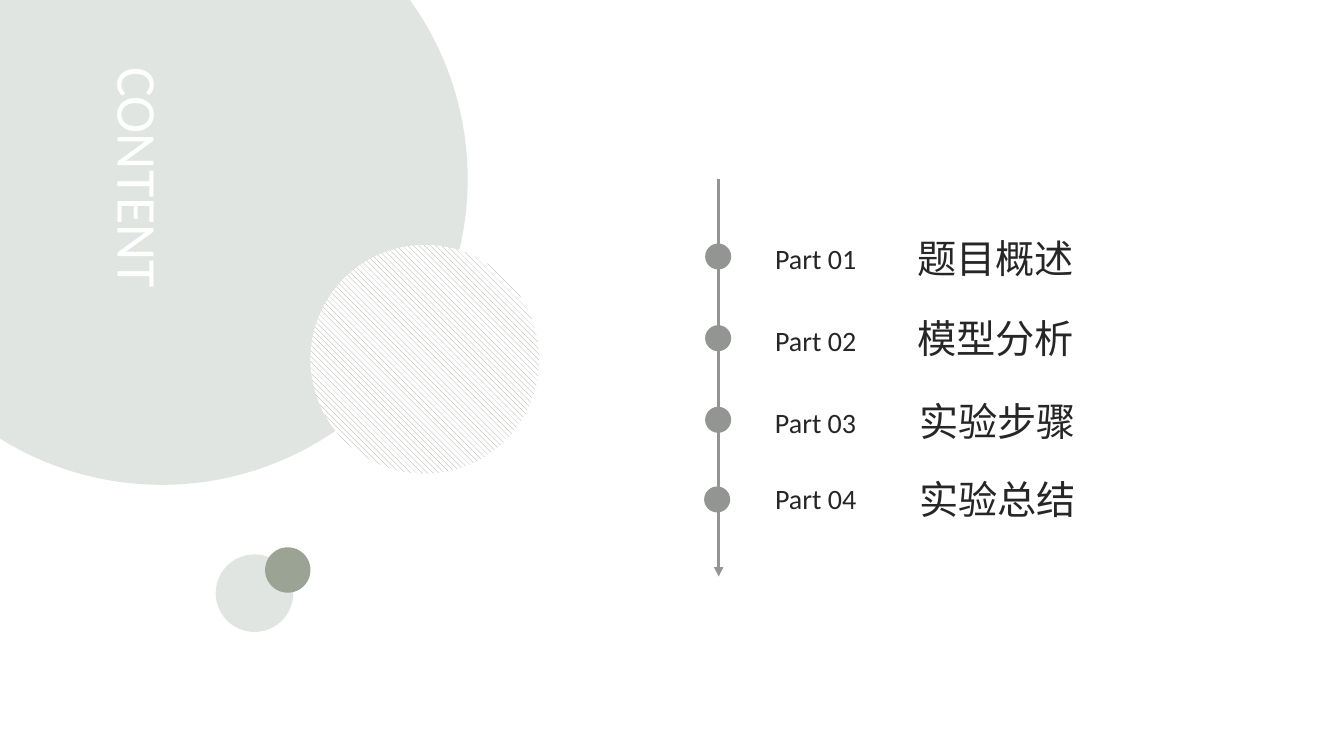
"""Build a contents slide with a four-part timeline beside overlapping circles."""
from typing import NamedTuple

import lxml.etree
import pptx
import pptx.dml.color
import pptx.enum.dml
import pptx.enum.shapes
import pptx.enum.text
import pptx.oxml.ns
import pptx.slide
import pptx.text.text
import pptx.util

EMU_PER_PX = 9144
SLIDE_WIDTH = pptx.util.Emu(12192000)
FONT = "Calibri"
MIST = pptx.dml.color.RGBColor(0xE1, 0xE5, 0xE2)
SAGE = pptx.dml.color.RGBColor(0x9A, 0xA3, 0x94)
GREY = pptx.dml.color.RGBColor(0x92, 0x95, 0x91)
INK = pptx.dml.color.RGBColor(0x26, 0x26, 0x26)
WHITE = pptx.dml.color.RGBColor(0xFF, 0xFF, 0xFF)
ALIGN = pptx.enum.text.PP_ALIGN


class Circle(NamedTuple):
    left: int
    top: int
    size: int
    color: pptx.dml.color.RGBColor
    hatched: bool = False
    outline: float = 0


class Part(NamedTuple):
    label: str
    label_top: int
    label_width: int
    topic: str
    topic_left: int
    topic_top: int
    dot_left: int
    dot_top: int


BUBBLES = [
    Circle(214, 550, 77, MIST),
    Circle(263, 543, 45, SAGE),
    Circle(-143, -126, 607, MIST),
    Circle(308, 243, 227, SAGE, hatched=True),
]
PARTS = [
    Part("Part 01", 235, 128, "题目概述", 900, 228, 701, 243),
    Part("Part 02", 316, 152, "模型分析", 900, 307, 701, 324),
    Part("Part 03", 397, 143, "实验步骤", 902, 389, 701, 405),
    Part("Part 04", 473, 152, "实验总结", 902, 467, 700, 484),
]


def px(length: int) -> pptx.util.Emu:
    """Turn px into EMU."""
    return pptx.util.Emu(length * EMU_PER_PX)


def draw_circle(slide: pptx.slide.Slide, circle: Circle) -> None:
    """Draw one plain or hatched circle."""
    disc = slide.shapes.add_shape(
        pptx.enum.shapes.MSO_SHAPE.OVAL,
        px(circle.left), px(circle.top), px(circle.size), px(circle.size))
    disc.shadow.inherit = False
    if circle.hatched:
        disc.fill.patterned()
        disc.fill.pattern = pptx.enum.dml.MSO_PATTERN.WIDE_DOWNWARD_DIAGONAL
        disc.fill.fore_color.rgb = circle.color
        disc.fill.back_color.rgb = WHITE
    else:
        disc.fill.solid()
        disc.fill.fore_color.rgb = circle.color
    if circle.outline:
        disc.line.color.rgb = circle.color
        disc.line.width = pptx.util.Pt(circle.outline)
    else:
        disc.line.fill.background()


def style(paragraph: pptx.text.text._Paragraph, size: int,
          color: pptx.dml.color.RGBColor, align: ALIGN) -> None:
    """Set the font and alignment of a paragraph."""
    paragraph.alignment = align
    paragraph.font.name = FONT
    paragraph.font.size = pptx.util.Pt(size)
    paragraph.font.color.rgb = color


def draw_text(slide: pptx.slide.Slide, text: str, left: int, top: int,
              width: int, height: int, size: int, align: ALIGN) -> None:
    """Draw one line of text in a box that grows with it."""
    frame = slide.shapes.add_textbox(px(left), px(top), px(width), px(height)).text_frame
    frame.word_wrap = True
    frame.auto_size = pptx.enum.text.MSO_AUTO_SIZE.SHAPE_TO_FIT_TEXT
    frame.text = text
    style(frame.paragraphs[0], size, INK, align)


def draw_timeline(slide: pptx.slide.Slide) -> None:
    """Draw the downward timeline arrow."""
    axis = slide.shapes.add_connector(
        pptx.enum.shapes.MSO_CONNECTOR.STRAIGHT, px(713), px(178), px(713), px(572))
    axis.line.color.rgb = GREY
    axis.line.width = pptx.util.Pt(2.25)
    qn = pptx.oxml.ns.qn
    lxml.etree.SubElement(axis.line._get_or_add_ln(), qn("a:tailEnd"), type="triangle")
    lxml.etree.SubElement(axis.element.spPr, qn("a:effectLst"))


def draw_part(slide: pptx.slide.Slide, part: Part) -> None:
    """Draw the dot, label and topic of one part."""
    draw_circle(slide, Circle(part.dot_left, part.dot_top, 23, GREY, outline=2))
    draw_text(slide, part.label, 759, part.label_top, part.label_width, 44, 20, ALIGN.LEFT)
    draw_text(slide, part.topic, part.topic_left, part.topic_top, 233, 57, 28, ALIGN.JUSTIFY)


def place_title(slide: pptx.slide.Slide) -> None:
    """Turn the title to read downwards, in front of the large circle."""
    title = slide.shapes.title
    title.left, title.top, title.width, title.height = px(19), px(153), px(240), px(68)
    title.rotation = 90
    frame = title.text_frame
    frame.text = "CONTENT"
    frame.margin_left = frame.margin_right = frame.margin_top = frame.margin_bottom = 0
    frame.word_wrap = True
    frame.auto_size = pptx.enum.text.MSO_AUTO_SIZE.NONE
    frame.vertical_anchor = pptx.enum.text.MSO_ANCHOR.MIDDLE
    style(frame.paragraphs[0], 40, WHITE, ALIGN.LEFT)
    title.element.getparent().append(title.element)


def main() -> None:
    """Build and save the slide."""
    deck = pptx.Presentation()
    deck.slide_width, deck.slide_height = SLIDE_WIDTH, px(750)
    slide = deck.slides.add_slide(deck.slide_layouts.get_by_name("Title Only"))
    for bubble in BUBBLES:
        draw_circle(slide, bubble)
    place_title(slide)
    draw_timeline(slide)
    for part in PARTS:
        draw_part(slide, part)
    deck.save("out.pptx")


if __name__ == "__main__":
    main()
